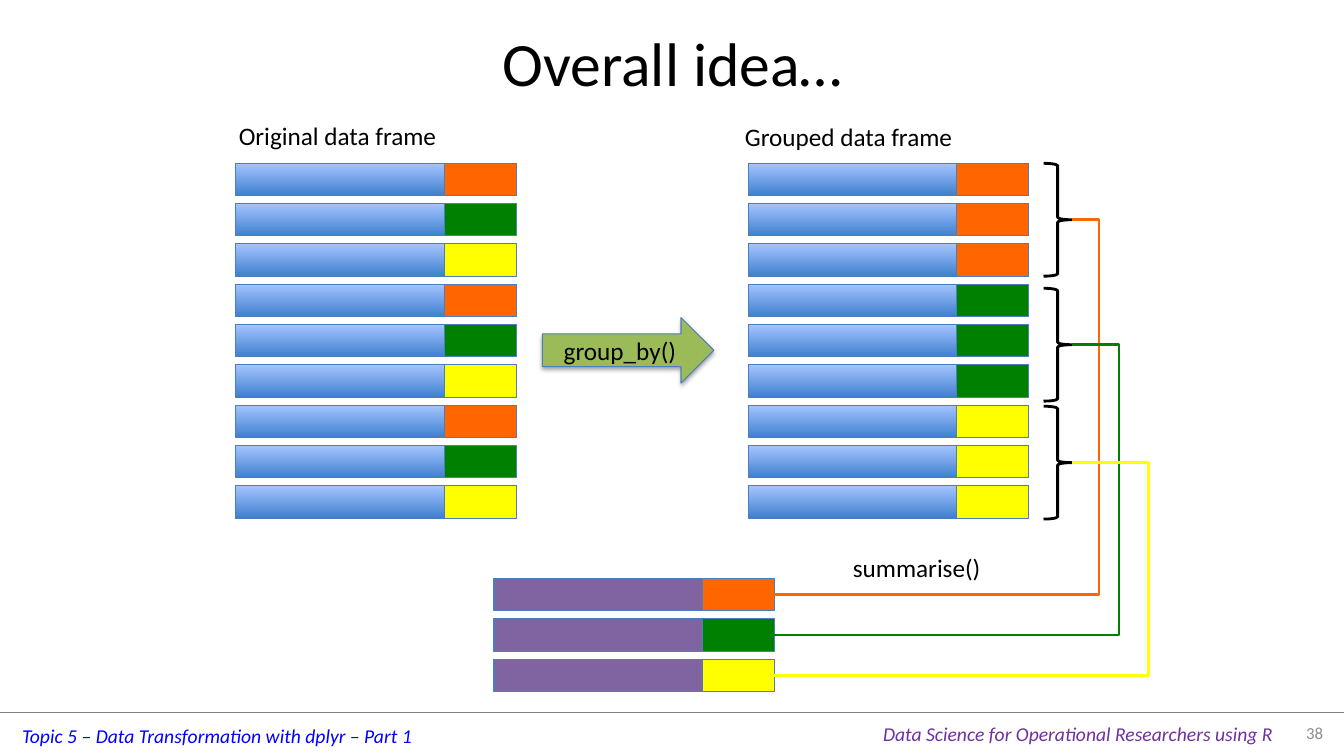
"""Build the slide that explains grouping and summarising a data frame."""
from dataclasses import dataclass

import lxml.etree
import pptx
import pptx.dml.color
import pptx.enum.shapes
import pptx.enum.text
import pptx.oxml
import pptx.oxml.ns
import pptx.presentation
import pptx.shapes.autoshape
import pptx.shapes.connector
import pptx.slide
import pptx.text.text
import pptx.util

EMU_PER_PX = 9144
SHAPE = pptx.enum.shapes.MSO_SHAPE
ALIGN = pptx.enum.text.PP_ALIGN
ANCHOR = pptx.enum.text.MSO_ANCHOR


@dataclass(frozen=True)
class Theme:
    font: str = "Calibri"
    black: str = "000000"
    outline: str = "4B7EBC"
    record_bottom: str = "3F80CE"
    record_top: str = "A4C4FF"
    summary: str = "8064A2"
    arrow: str = "9BBB59"
    orange: str = "FF6600"
    green: str = "008000"
    yellow: str = "FFFF00"
    rule: str = "808080"
    topic: str = "0000FF"
    course: str = "7030A0"
    number: str = "8C8C8C"
    title_size: int = 44
    label_size: int = 18
    footer_size: int = 14
    number_size: int = 12
    thin: float = 0.75
    thick: float = 2
    hairline: float = 0.25


THEME = Theme()
GROUP_COLOURS = (THEME.orange, THEME.green, THEME.yellow)


@dataclass(frozen=True)
class Box:
    left: int
    top: int
    width: int
    height: int


@dataclass(frozen=True)
class Frame:
    left: int
    top: int
    fills: tuple[str, ...]
    keys: tuple[str, ...]


@dataclass(frozen=True)
class Label:
    text: str
    box: Box
    size: int = THEME.label_size
    colour: str = THEME.black
    italic: bool = False
    wrap: bool = False
    align: ALIGN = ALIGN.LEFT
    anchor: ANCHOR = ANCHOR.TOP


@dataclass(frozen=True)
class Link:
    colour: str
    brace_top: int
    turn: int
    end_y: int


ROW_PITCH, ROW_HEIGHT = 40, 32
RECORD_WIDTH, KEY_WIDTH = 207, 71
BRACE_LEFT, BRACE_WIDTH, BRACE_HEIGHT = 1035, 28, 112
SUMMARY_LEFT, SUMMARY_TOP = 490, 574
GRADIENT = (THEME.record_bottom, THEME.record_top)

FRAMES = (
    Frame(234, 162, GRADIENT, GROUP_COLOURS * 3),
    Frame(742, 162, GRADIENT, tuple(colour for colour in GROUP_COLOURS for _ in range(3))),
    Frame(SUMMARY_LEFT, SUMMARY_TOP, (THEME.summary,), GROUP_COLOURS),
)
LINKS = tuple(
    Link(colour, brace_top, turn, SUMMARY_TOP + index * ROW_PITCH + ROW_HEIGHT // 2)
    for index, (colour, brace_top, turn) in enumerate(
        zip(GROUP_COLOURS, (162, 286, 403), (1090, 1110, 1139))
    )
)
LABELS = (
    Label("Topic 5 – Data Transformation with dplyr – Part 1", Box(12, 713, 412, 34),
          THEME.footer_size, THEME.topic, italic=True),
    Label("Data Science for Operational Researchers using R", Box(866, 711, 411, 34),
          THEME.footer_size, THEME.course, italic=True),
    Label("38", Box(1267, 707, 55, 39), THEME.number_size, THEME.number,
          wrap=True, align=ALIGN.RIGHT, anchor=ANCHOR.MIDDLE),
    Label("summarise()", Box(836, 543, 148, 40)),
    Label("Original data frame", Box(227, 114, 219, 40)),
    Label("Grouped data frame", Box(729, 115, 229, 40)),
)
TITLE = Label("Overall idea…", Box(217, -1, 900, 125), THEME.title_size,
              wrap=True, align=ALIGN.CENTER, anchor=ANCHOR.MIDDLE)
ARROW = Label("group_by()", Box(538, 315, 170, 65),
              wrap=True, align=ALIGN.CENTER, anchor=ANCHOR.MIDDLE)


def px(length: int) -> pptx.util.Emu:
    """Turn px into EMU."""
    return pptx.util.Emu(length * EMU_PER_PX)


def edges(box: Box) -> tuple[pptx.util.Emu, ...]:
    """Return the box as EMU lengths."""
    return px(box.left), px(box.top), px(box.width), px(box.height)


def rgb(colour: str) -> pptx.dml.color.RGBColor:
    """Return a colour object."""
    return pptx.dml.color.RGBColor.from_string(colour)


def write(text_frame: pptx.text.text.TextFrame, label: Label) -> None:
    """Set and format the text of a label."""
    text_frame.text = label.text
    text_frame.word_wrap = label.wrap
    text_frame.vertical_anchor = label.anchor
    paragraph = text_frame.paragraphs[0]
    paragraph.alignment = label.align
    font = paragraph.runs[0].font
    font.name = THEME.font
    font.size = pptx.util.Pt(label.size)
    font.italic = label.italic
    font.color.rgb = rgb(label.colour)


def add_label(slide: pptx.slide.Slide, label: Label) -> None:
    """Add a text box."""
    write(slide.shapes.add_textbox(*edges(label.box)).text_frame, label)


def add_shape(slide: pptx.slide.Slide, kind: SHAPE, box: Box, fills: tuple[str, ...],
              outline: str, weight: float) -> pptx.shapes.autoshape.Shape:
    """Add a shape with no fill, one fill or a two-colour upward gradient."""
    shape = slide.shapes.add_shape(kind, *edges(box))
    shape.shadow.inherit = False
    if len(fills) == 2:
        shape.fill.gradient()
        shape.fill.gradient_angle = 90
        for stop, colour in zip(shape.fill.gradient_stops, fills):
            stop.color.rgb = rgb(colour)
    elif fills:
        shape.fill.solid()
        shape.fill.fore_color.rgb = rgb(fills[0])
    else:
        shape.fill.background()
    shape.line.color.rgb = rgb(outline)
    shape.line.width = pptx.util.Pt(weight)
    return shape


def add_frame(slide: pptx.slide.Slide, frame: Frame) -> None:
    """Add the rows of a data frame, each with its key cell."""
    for index, key in enumerate(frame.keys):
        top = frame.top + index * ROW_PITCH
        record = Box(frame.left, top, RECORD_WIDTH, ROW_HEIGHT)
        cell = Box(frame.left + RECORD_WIDTH, top, KEY_WIDTH, ROW_HEIGHT)
        for box, fills in ((record, frame.fills), (cell, (key,))):
            add_shape(slide, SHAPE.RECTANGLE, box, fills, THEME.outline, THEME.thin)


def add_line(slide: pptx.slide.Slide, kind: pptx.enum.shapes.MSO_CONNECTOR,
             points: tuple[int, int, int, int], colour: str,
             weight: float) -> pptx.shapes.connector.Connector:
    """Add a connector without a shadow."""
    line = slide.shapes.add_connector(kind, *map(px, points))
    line.line.color.rgb = rgb(colour)
    line.line.width = pptx.util.Pt(weight)
    lxml.etree.SubElement(line._element.spPr, pptx.oxml.ns.qn("a:effectLst"))
    return line


def add_link(slide: pptx.slide.Slide, link: Link) -> None:
    """Add a brace and the bent line from it to its summary row."""
    brace = Box(BRACE_LEFT, link.brace_top, BRACE_WIDTH, BRACE_HEIGHT)
    add_shape(slide, SHAPE.RIGHT_BRACE, brace, (), THEME.black, THEME.thick)
    start_x = BRACE_LEFT + BRACE_WIDTH
    end_x = SUMMARY_LEFT + RECORD_WIDTH + KEY_WIDTH
    points = (start_x, link.brace_top + BRACE_HEIGHT // 2, end_x, link.end_y)
    line = add_line(slide, pptx.enum.shapes.MSO_CONNECTOR.ELBOW, points, link.colour, THEME.thick)
    bend = round((start_x - link.turn) / (start_x - end_x) * 100000)
    geometry = line._element.spPr.find(pptx.oxml.ns.qn("a:prstGeom"))
    guides = geometry.find(pptx.oxml.ns.qn("a:avLst"))
    if guides is None:
        guides = lxml.etree.SubElement(geometry, pptx.oxml.ns.qn("a:avLst"))
    lxml.etree.SubElement(guides, pptx.oxml.ns.qn("a:gd"), name="adj1", fmla=f"val {bend}")


def add_arrow(slide: pptx.slide.Slide) -> None:
    """Add the labelled arrow with its soft shadow."""
    arrow = add_shape(slide, SHAPE.RIGHT_ARROW, ARROW.box, (THEME.arrow,), THEME.outline, THEME.thin)
    write(arrow.text_frame, ARROW)
    effects = arrow._element.spPr.find(pptx.oxml.ns.qn("a:effectLst"))
    shadow = lxml.etree.SubElement(effects, pptx.oxml.ns.qn("a:outerShdw"), blurRad="40000",
                                   dist="23000", dir="5400000", rotWithShape="0")
    colour = lxml.etree.SubElement(shadow, pptx.oxml.ns.qn("a:srgbClr"), val=THEME.black)
    lxml.etree.SubElement(colour, pptx.oxml.ns.qn("a:alpha"), val="35000")


def main() -> None:
    """Build and save the presentation."""
    presentation = pptx.Presentation()
    presentation.slide_width, presentation.slide_height = px(1333), px(750)
    slide = presentation.slides.add_slide(presentation.slide_layouts[5])
    title = slide.shapes.title
    title.left, title.top, title.width, title.height = edges(TITLE.box)
    write(title.text_frame, TITLE)
    add_line(slide, pptx.enum.shapes.MSO_CONNECTOR.STRAIGHT, (0, 707, 1333, 707),
             THEME.rule, THEME.hairline)
    for frame in FRAMES:
        add_frame(slide, frame)
    add_arrow(slide)
    for link in LINKS:
        add_link(slide, link)
    for label in LABELS:
        add_label(slide, label)
    presentation.save("out.pptx")


if __name__ == "__main__":
    main()
